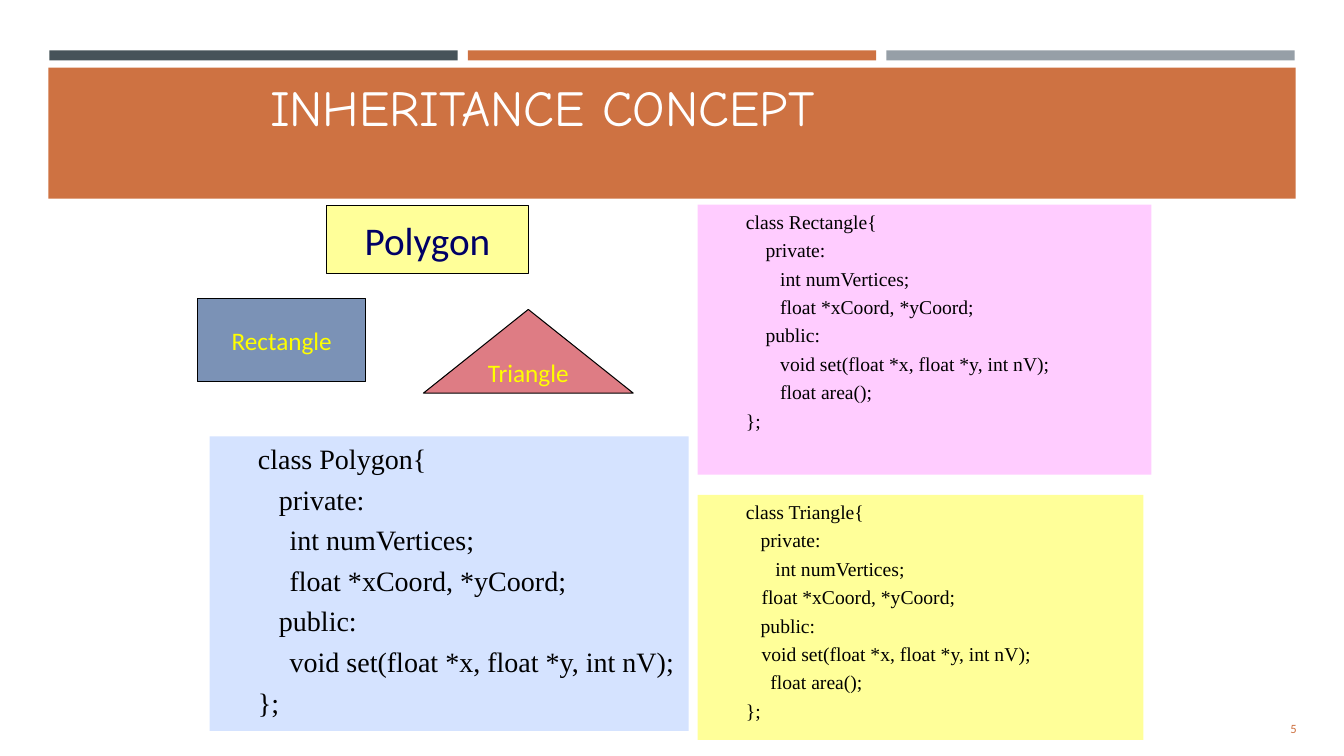
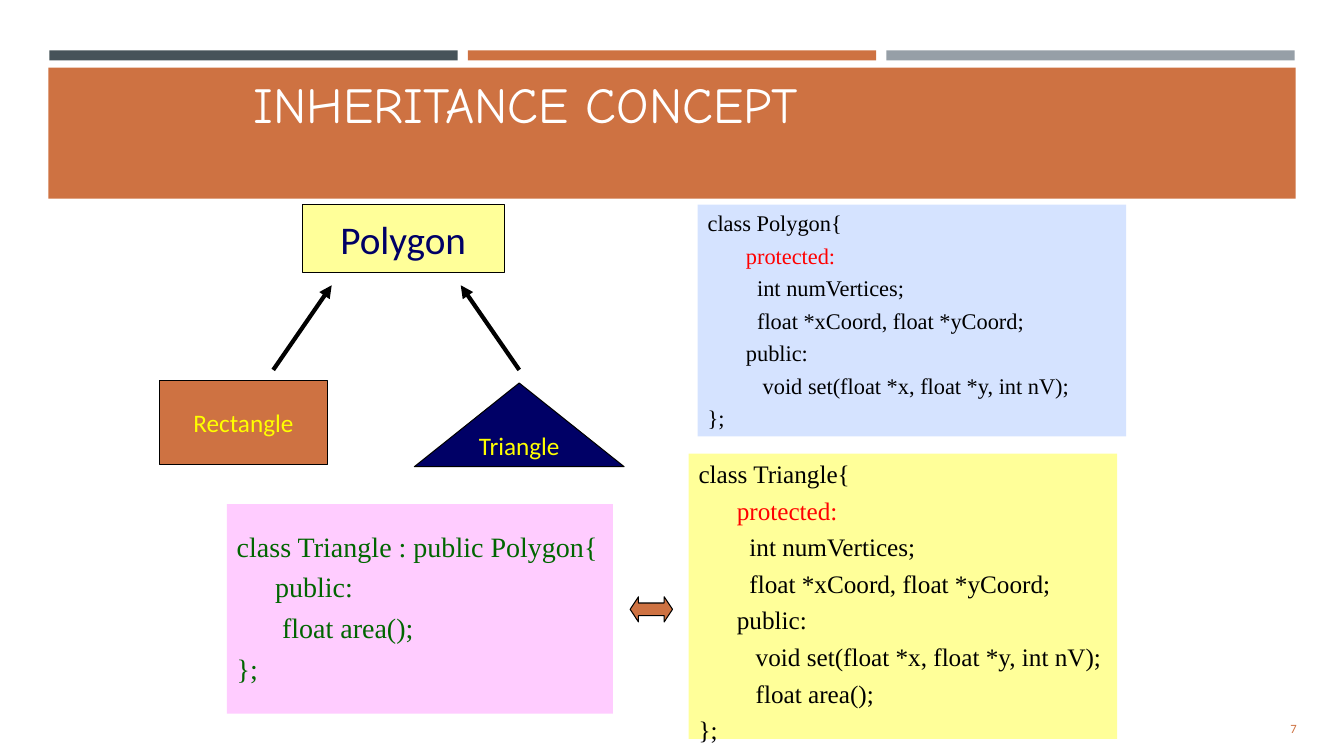
from lxml import etree
from pptx import Presentation
from pptx.dml.color import RGBColor
from pptx.enum.shapes import MSO_CONNECTOR, MSO_SHAPE
from pptx.enum.text import MSO_ANCHOR, PP_ALIGN
from pptx.oxml.ns import qn
from pptx.util import Inches, Pt

RECTANGLE = MSO_SHAPE.RECTANGLE
TRIANGLE = MSO_SHAPE.ISOSCELES_TRIANGLE
DOUBLE_ARROW = MSO_SHAPE.LEFT_RIGHT_ARROW
STRAIGHT = MSO_CONNECTOR.STRAIGHT
TOP, MIDDLE, BOTTOM = MSO_ANCHOR.TOP, MSO_ANCHOR.MIDDLE, MSO_ANCHOR.BOTTOM
LEFT, CENTER, RIGHT = PP_ALIGN.LEFT, PP_ALIGN.CENTER, PP_ALIGN.RIGHT

COLORS = {
    "slate": "465359", "orange": "CE7242", "gray": "969FA7",
    "white": "FFFFFF", "black": "000000", "red": "FF0000",
    "navy": "000066", "green": "006600", "bright yellow": "FFFF00",
    "pale yellow": "FFFF99", "pink": "FFCCFF", "pale blue": "D5E3FF",
    "steel": "7B92B6", "rose": "DE7C84",
}

TITLE = "INHERITANCE CONCEPT"
TITLE_SIZE = (8.5, 0.75)
BAND_COLORS = ["slate", "orange", "gray"]
BAND_LEFT, BAND_WIDTH, BAND_STEP = 0.49, 4.05, 4.15
HANGING_INDENT = 0.38
CODE_SPACING = 0.25  # space before a line, as a share of the text size

# Text styles: font name, size, colour
TITLE_FONT = ("Comic Neue", 36, "white")
NUMBER_FONT = ("Calibri", 9, "orange")
PARENT_FONT = ("Calibri", 28, "navy")
CHILD_FONT = ("Calibri", 18, "bright yellow")
CODE_FONT = "Times New Roman"

# Class nodes: preset shape, size, text style
NODES = {
    "Polygon": (RECTANGLE, (2, 0.67), PARENT_FONT),
    "Rectangle": (RECTANGLE, (1.67, 0.83), CHILD_FONT),
    "Triangle": (TRIANGLE, (2.08, 0.83), CHILD_FONT),
}

SLIDES = [
    {
        "number": "5",
        "title at": (2.58, 0.65),
        "nodes": [
            ("Rectangle", (1.96, 2.96), "steel"),
            ("Triangle", (4.2, 3.07), "rose"),
            ("Polygon", (3.24, 2.04), "pale yellow"),
        ],
        "arrows": [],
        "double arrows": [],
        "code": [
            {"box": (6.92, 2.03, 4.5, 2.68), "fill": "pink", "size": 14, "lines": [
                "\tclass Rectangle{",
                "\t    private:",
                "\t       int numVertices;",
                "\t       float *xCoord, *yCoord;",
                "\t    public:",
                "\t       void set(float *x, float *y, int nV);",
                "\t       float area();",
                "\t};",
            ]},
            {"box": (2.08, 4.33, 4.75, 2.92), "fill": "pale blue", "size": 20, "lines": [
                "\tclass Polygon{",
                "\t   private:",
                "          int numVertices;",
                "          float *xCoord, *yCoord;",
                "\t   public:",
                "          void set(float *x, float *y, int nV);",
                "\t};",
            ]},
            {"box": (6.92, 4.91, 4.42, 2.43), "fill": "pale yellow", "size": 14, "lines": [
                "\tclass Triangle{",
                "\t   private:",
                "\t      int numVertices;",
                "           float *xCoord, *yCoord;",
                "\t   public:",
                "           void set(float *x, float *y, int nV);",
                "\t     float area();",
                "\t};",
            ]},
        ],
    },
    {
        "number": "7",
        "title at": (2.42, 0.62),
        "nodes": [
            ("Rectangle", (1.58, 3.78), "orange"),
            ("Triangle", (4.11, 3.8), "navy"),
            ("Polygon", (3, 2.03), "pale yellow"),
        ],
        "arrows": [(2.71, 3.67, 3.29, 2.83), (5.15, 3.67, 4.57, 2.83)],
        "double arrows": [(6.25, 5.92, 0.42, 0.25)],
        "code": [
            {"box": (6.92, 2.03, 4.25, 2.3), "fill": "pale blue", "size": 16, "lines": [
                "class Polygon{",
                "\tprotected:",
                "\t  int numVertices;",
                "\t  float *xCoord, float *yCoord;",
                "\tpublic:",
                "\t   void set(float *x, float *y, int nV);",
                "};",
            ]},
            {"box": (2.25, 5, 3.83, 2.08), "fill": "pink", "size": 20,
             "color": "green", "top inset": 0.25, "lines": [
                "class Triangle : public Polygon{",
                "\tpublic:",
                "\t float area();",
                "};",
            ]},
            {"box": (6.83, 4.5, 4.25, 2.83), "fill": "pale yellow", "size": 18, "lines": [
                "class Triangle{",
                "\tprotected:",
                "\t  int numVertices;",
                "\t  float *xCoord, float *yCoord;",
                "\tpublic:",
                "\t   void set(float *x, float *y, int nV);",
                "\t   float area();",
                "};",
            ]},
        ],
    },
]


def color(name):
    return RGBColor.from_string(COLORS[name])


def apply_format(target, values):
    for name, value in values.items():
        setattr(target, name, value)


def add_text(paragraph, text, style, align=LEFT):
    name, size, color_name = style
    paragraph.alignment = align
    run = paragraph.add_run()
    run.text = text
    apply_format(run.font, {"name": name, "size": Pt(size)})
    run.font.color.rgb = color(color_name)


def add_shape(slide, preset, box, fill, outlined=False):
    shape = slide.shapes.add_shape(preset, *map(Inches, box))
    shape.shadow.inherit = False
    shape.fill.solid()
    shape.fill.fore_color.rgb = color(fill)
    if outlined:
        shape.line.color.rgb = color("black")
        shape.line.width = Pt(0.75)
    else:
        shape.line.fill.background()
    return shape


def add_label(slide, text, box, style, anchor, align=LEFT):
    frame = slide.shapes.add_textbox(*map(Inches, box)).text_frame
    apply_format(frame, {"word_wrap": True, "vertical_anchor": anchor})
    add_text(frame.paragraphs[0], text, style, align)


def add_frame(slide, number, title_at):
    """Draw what every slide shares: bands, title and slide number."""
    for index, fill in enumerate(BAND_COLORS):
        left = BAND_LEFT + index * BAND_STEP
        add_shape(slide, RECTANGLE, (left, 0.5, BAND_WIDTH, 0.1), fill)
    add_shape(slide, RECTANGLE, (0.48, 0.67, 12.37, 1.3), "orange")
    add_label(slide, TITLE, title_at + TITLE_SIZE, TITLE_FONT, BOTTOM)
    add_label(slide, number, (11.81, 7.03, 1.15, 0.4), NUMBER_FONT, MIDDLE, RIGHT)


def add_node(slide, name, position, fill):
    preset, size, style = NODES[name]
    frame = add_shape(slide, preset, position + size, fill, outlined=True).text_frame
    apply_format(frame, {"word_wrap": False, "vertical_anchor": MIDDLE})
    add_text(frame.paragraphs[0], name, style, CENTER)


def add_arrow(slide, ends):
    connector = slide.shapes.add_connector(STRAIGHT, *map(Inches, ends))
    connector.line.color.rgb = color("black")
    connector.line.width = Pt(3)
    properties = connector.line._get_or_add_ln()
    etree.SubElement(properties, qn("a:tailEnd"), type="triangle")
    etree.SubElement(connector._element.spPr, qn("a:effectLst"))


def add_code(slide, panel):
    frame = add_shape(slide, RECTANGLE, panel["box"], panel["fill"]).text_frame
    apply_format(frame, {
        "word_wrap": True,
        "vertical_anchor": TOP,
        "margin_top": Inches(panel.get("top inset", 0.05)),
    })
    size = panel["size"]
    for index, line in enumerate(panel["lines"]):
        paragraph = frame.add_paragraph() if index else frame.paragraphs[0]
        if index:
            paragraph.space_before = Pt(size * CODE_SPACING)
        properties = paragraph._p.get_or_add_pPr()
        properties.set("marL", str(Inches(HANGING_INDENT)))
        properties.set("indent", str(-Inches(HANGING_INDENT)))
        highlighted = line.strip() == "protected:"
        line_color = "red" if highlighted else panel.get("color", "black")
        add_text(paragraph, line, (CODE_FONT, size, line_color))


def main():
    presentation = Presentation()
    presentation.slide_width = Inches(13.33)
    presentation.slide_height = Inches(7.5)
    blank_layout = presentation.slide_layouts[6]
    for content in SLIDES:
        slide = presentation.slides.add_slide(blank_layout)
        add_frame(slide, content["number"], content["title at"])
        for node in content["nodes"]:
            add_node(slide, *node)
        for ends in content["arrows"]:
            add_arrow(slide, ends)
        for box in content["double arrows"]:
            arrow = add_shape(slide, DOUBLE_ARROW, box, "orange", outlined=True)
            arrow.adjustments[1] = 0.33
        for panel in content["code"]:
            add_code(slide, panel)
    presentation.save("out.pptx")


if __name__ == "__main__":
    main()
